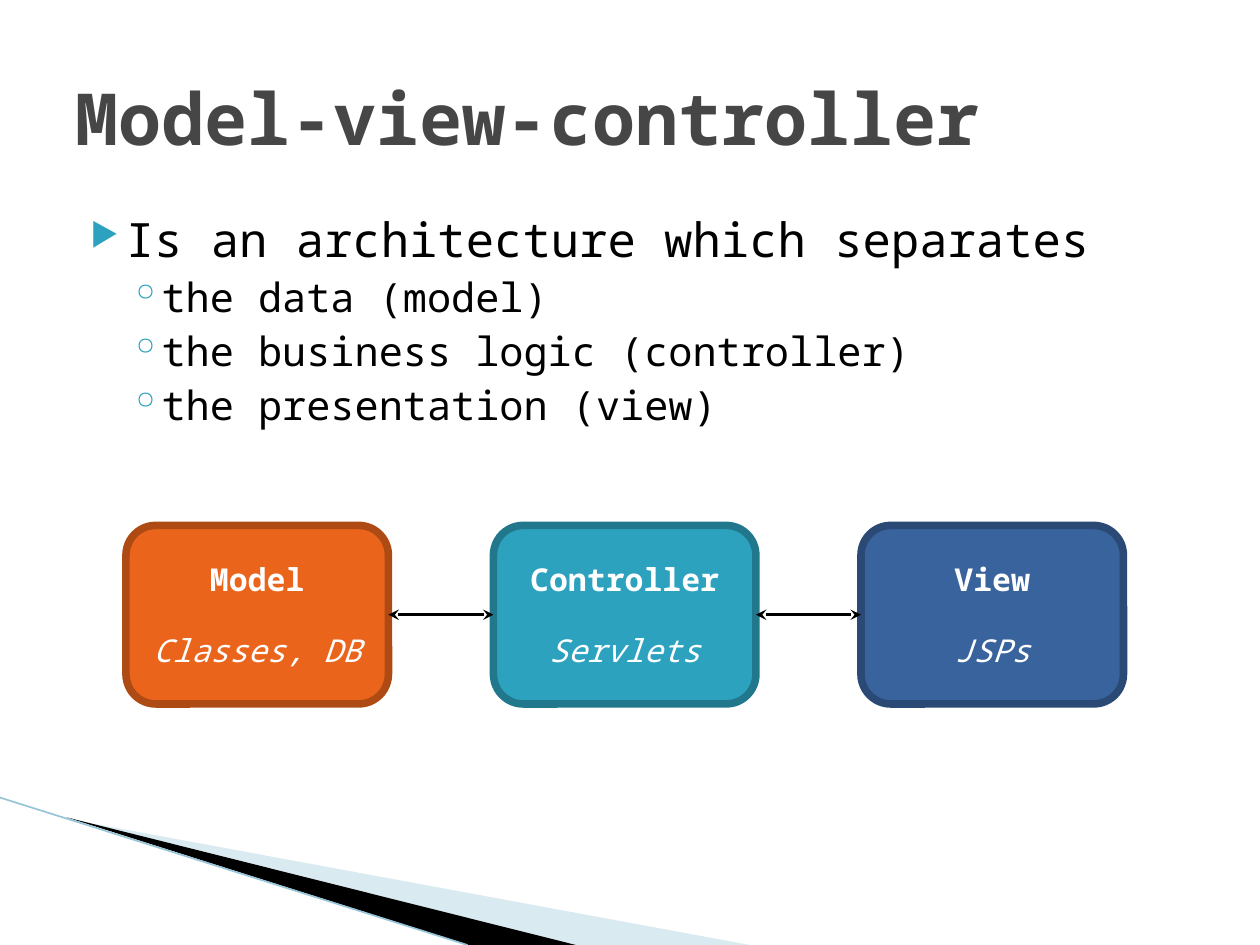
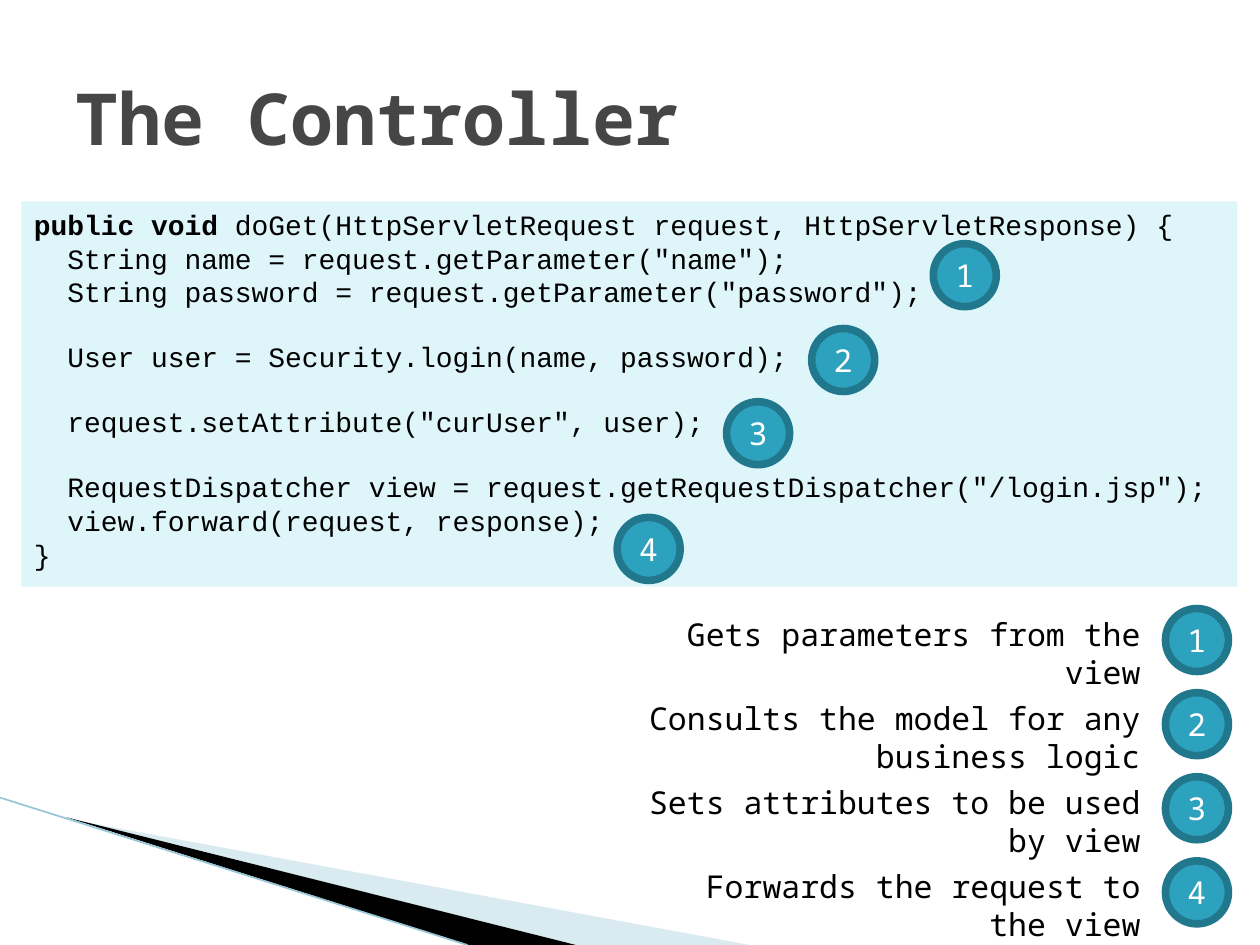
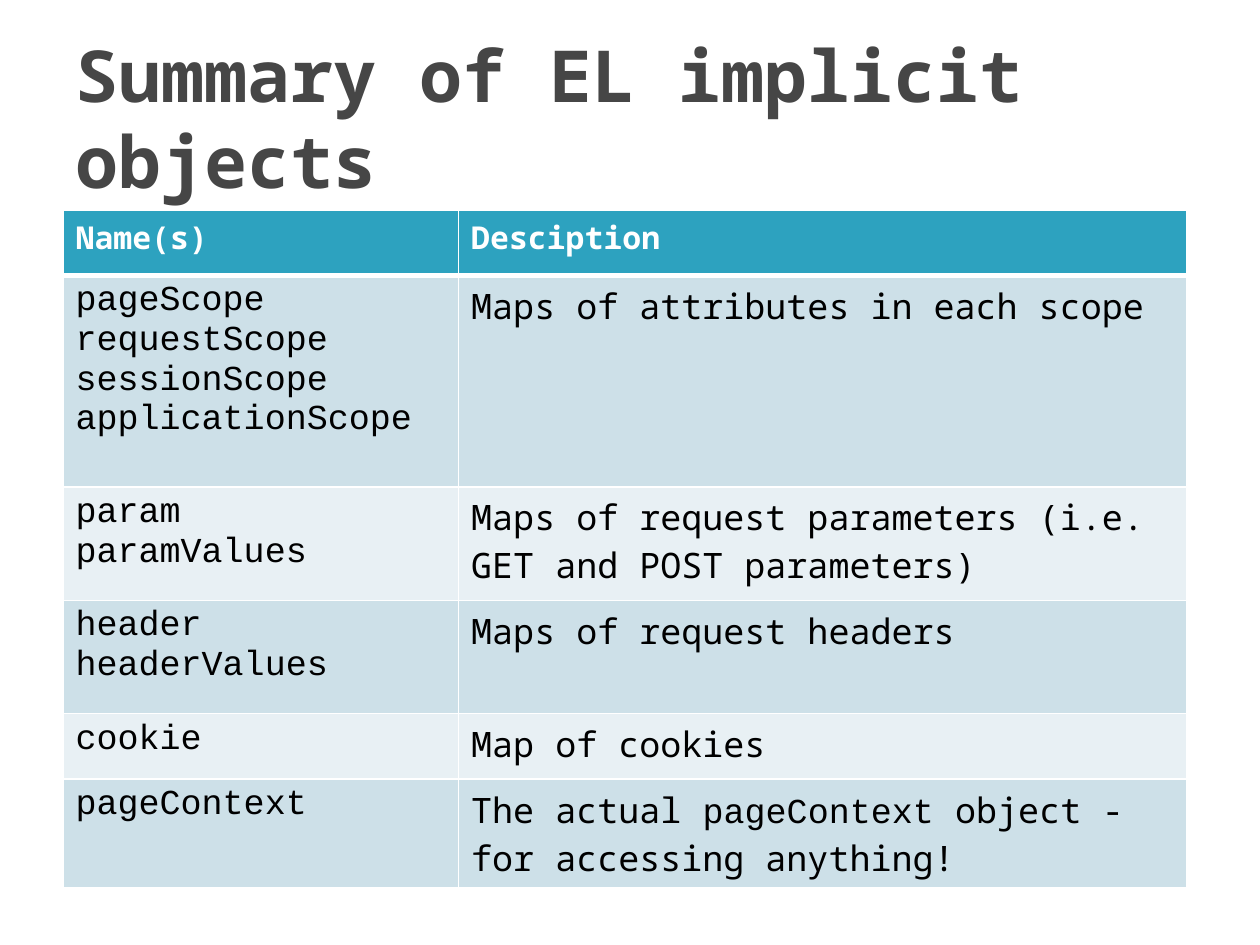
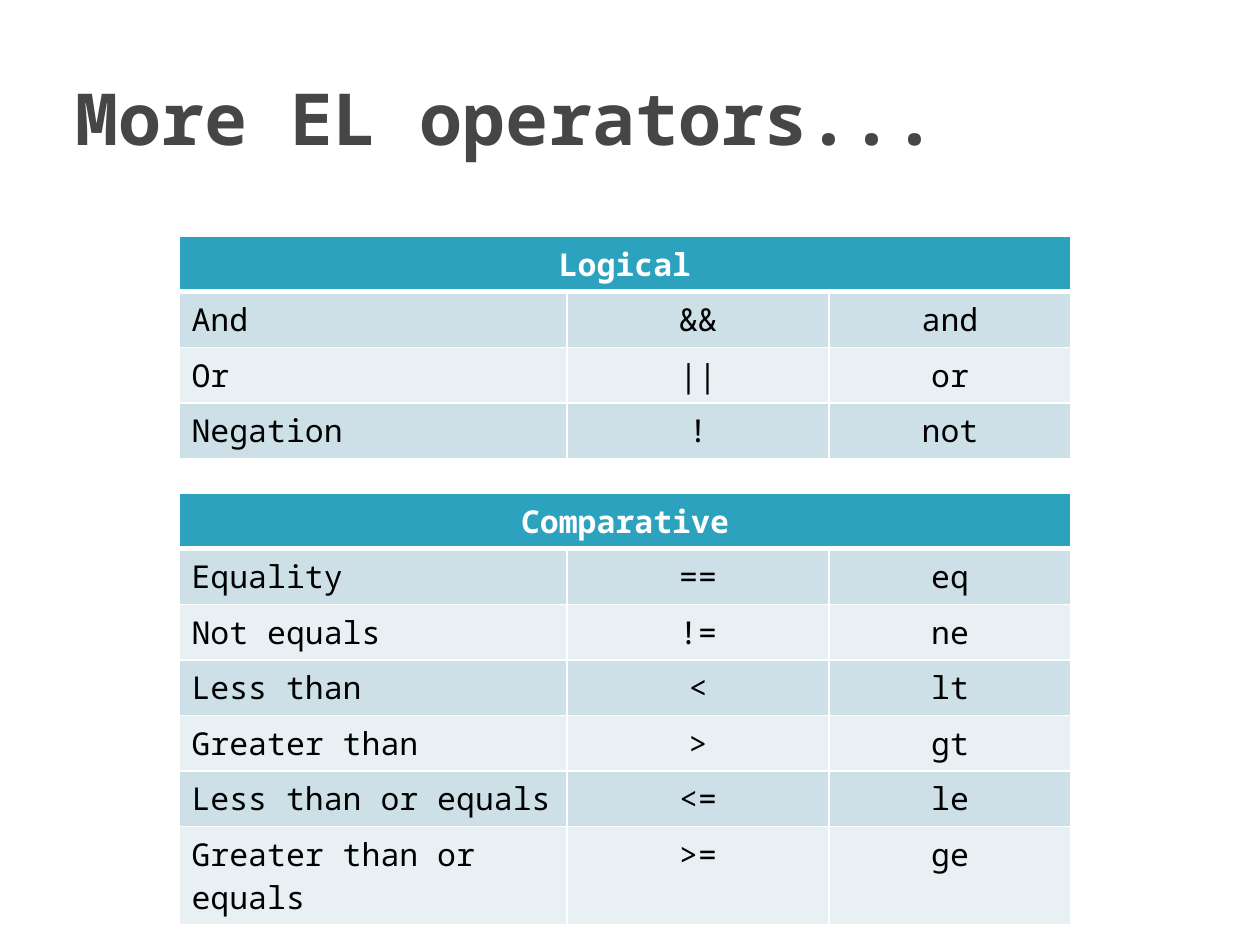
from dataclasses import dataclass
from itertools import pairwise

from lxml.etree import SubElement
from pptx import Presentation
from pptx.dml.color import RGBColor
from pptx.enum.shapes import MSO_CONNECTOR, MSO_SHAPE
from pptx.enum.text import MSO_ANCHOR, MSO_AUTO_SIZE, PP_ALIGN
from pptx.oxml.ns import qn
from pptx.util import Emu, Inches, Pt

SANS = "Noto Sans Mono"
CODE = "Courier New"
BLACK, WHITE, GREY = "000000", "FFFFFF", "464646"
ORANGE, DARK_ORANGE = "EB641B", "AE4A14"
TEAL, DARK_TEAL = "2DA2BF", "21788D"
BLUE, DARK_BLUE = "39639D", "2A4974"
PALE_BLUE, LINE_BLUE, CODE_FILL = "A0CBDC", "97C5D8", "DEF5FA"
ROW_FILLS = ["E8F0F4", "CDE0E8"]


@dataclass
class Box:
    left: float
    top: float
    width: float
    height: float

    def share(self, x, y, width, height):
        return Box(self.left + x * self.width, self.top + y * self.height,
                   width * self.width, height * self.height)

    def point(self, x, y):
        return Inches(self.left + x * self.width), Inches(self.top + y * self.height)

    def place(self):
        return [Inches(length) for length in (self.left, self.top, self.width, self.height)]


PAGE = Box(0, 0, 10, 7.5)
BADGE_SIZE = 0.5


def color(value):
    return RGBColor.from_string(value)


def style(paragraph, size, ink=BLACK, name=SANS, bold=False, italic=False, align=PP_ALIGN.LEFT):
    paragraph.alignment = align
    font = paragraph.font
    font.size, font.name, font.bold, font.italic = Pt(size), name, bold, italic
    font.color.rgb = color(ink)


def paint(shape, fill, line=None, width=4.33):
    shape.shadow.inherit = False
    shape.fill.solid()
    shape.fill.fore_color.rgb = color(fill)
    if line:
        shape.line.color.rgb = color(line)
        shape.line.width = Pt(width)
    else:
        shape.line.fill.background()


def next_paragraph(frame, index):
    return frame.add_paragraph() if index else frame.paragraphs[0]


def add_line(slide, start, end, ink, width):
    line = slide.shapes.add_connector(MSO_CONNECTOR.STRAIGHT, *start, *end)
    line.line.color.rgb = color(ink)
    line.line.width = Pt(width)
    SubElement(line._element.spPr, qn("a:effectLst"))
    return line


def add_wedge(slide, points, fill):
    corners = [PAGE.point(x, y) for x, y in points]
    builder = slide.shapes.build_freeform(*corners[0])
    builder.add_line_segments(corners[1:], close=True)
    wedge = builder.convert_to_shape()
    paint(wedge, fill)
    return wedge


def add_corner_band(slide):
    pale = add_wedge(slide, [(0.055, 0.867), (0.595, 1), (0.456, 1)], PALE_BLUE)
    fill_color = pale._element.spPr.find(qn("a:solidFill"))[0]
    SubElement(fill_color, qn("a:alpha"), val="40000")
    add_wedge(slide, [(0.053, 0.865), (0.457, 1), (0.372, 1)], BLACK)
    add_line(slide, PAGE.point(0, 0.844), PAGE.point(0.371, 1), LINE_BLUE, 0.95)


def add_titled_slide(presentation, text, banded=False):
    slide = presentation.slides.add_slide(presentation.slide_layouts[5])
    if banded:
        add_corner_band(slide)
    title = slide.shapes.title
    title.left, title.top, title.width, title.height = PAGE.share(0.05, 0.04, 0.9, 1 / 6).place()
    frame = title.text_frame
    frame.text = text
    frame.auto_size = MSO_AUTO_SIZE.NONE
    frame.vertical_anchor = MSO_ANCHOR.MIDDLE
    style(frame.paragraphs[0], 41, GREY, bold=True)
    return slide


def add_bullet(paragraph, symbol, indent, hanging, percent):
    properties = paragraph._p.get_or_add_pPr()
    properties.set("marL", str(Inches(indent)))
    properties.set("indent", str(-Inches(hanging)))
    bullet_color = SubElement(properties, qn("a:buClr"))
    SubElement(bullet_color, qn("a:srgbClr"), val=TEAL)
    SubElement(properties, qn("a:buSzPct"), val=str(percent * 1000))
    SubElement(properties, qn("a:buChar"), char=symbol)


def add_bullet_list(slide, box, heading, items):
    frame = slide.shapes.add_textbox(*box.place()).text_frame
    frame.word_wrap = True
    lead = frame.paragraphs[0]
    lead.text = heading
    add_bullet(lead, "▶", 0.4, 0.28, 68)
    style(lead, 27)
    for item in items:
        paragraph = frame.add_paragraph()
        paragraph.text = item
        paragraph.level = 1
        add_bullet(paragraph, "◦", 0.68, 0.25, 100)
        paragraph.space_before = Pt(3.2)
        style(paragraph, 23)


def add_card(slide, box, name, detail, fill, line):
    card = slide.shapes.add_shape(MSO_SHAPE.ROUNDED_RECTANGLE, *box.place())
    paint(card, fill, line)
    frame = card.text_frame
    frame.word_wrap = True
    frame.vertical_anchor = MSO_ANCHOR.MIDDLE
    heading, caption = frame.paragraphs[0], frame.add_paragraph()
    heading.text, caption.text = name, detail
    style(heading, 18, WHITE, bold=True, align=PP_ALIGN.CENTER)
    caption.space_before = Pt(19)
    style(caption, 18, WHITE, italic=True, align=PP_ALIGN.CENTER)
    return card


def join_cards(slide, first, second):
    middle = first.top + first.height // 2
    arrow = add_line(slide, (first.left + first.width, middle), (second.left, middle), BLACK, 2)
    arrow.begin_connect(first, 3)
    arrow.end_connect(second, 1)
    outline = arrow._element.spPr.find(qn("a:ln"))
    for end in ("a:headEnd", "a:tailEnd"):
        SubElement(outline, qn(end), type="stealth")


def add_card_flow(slide, box, cards):
    columns, card_span, step = 19, 5, 7
    shapes = [add_card(slide, box.share(index * step / columns, 0, card_span / columns, 1), *card)
              for index, card in enumerate(cards)]
    for first, second in pairwise(shapes):
        join_cards(slide, first, second)


def add_badge(slide, left, top, number):
    size = Inches(BADGE_SIZE)
    badge = slide.shapes.add_shape(MSO_SHAPE.OVAL, left, top, size, size)
    paint(badge, TEAL, DARK_TEAL)
    frame = badge.text_frame
    frame.margin_left = frame.margin_right = frame.margin_top = frame.margin_bottom = Emu(0)
    frame.vertical_anchor = MSO_ANCHOR.MIDDLE
    frame.text = str(number)
    style(frame.paragraphs[0], 18, WHITE, align=PP_ALIGN.CENTER)


def add_code_panel(slide, box, signature, blocks, badges):
    panel = slide.shapes.add_shape(MSO_SHAPE.RECTANGLE, *box.place())
    paint(panel, CODE_FILL)
    frame = panel.text_frame
    frame.word_wrap = True
    frame.vertical_anchor = MSO_ANCHOR.TOP
    first = frame.paragraphs[0]
    for text, bold in signature:
        run = first.add_run()
        run.text = text
        run.font.bold = bold
    style(first, 16, name=CODE)
    for block_index, block in enumerate(blocks):
        for line_index, line in enumerate(block):
            paragraph = frame.add_paragraph()
            paragraph.text = line
            if block_index and not line_index:
                paragraph.space_before = Pt(18)
            style(paragraph, 16, name=CODE)
    for number, position in enumerate(badges, 1):
        add_badge(slide, *box.point(*position), number)


def add_legend(slide, box, captions):
    row_height = box.height / len(captions)
    right = box.left + box.width
    caption_right = right - 0.6
    for index, (text, width) in enumerate(captions):
        top = box.top + index * row_height
        add_badge(slide, Inches(right - BADGE_SIZE), Inches(top), index + 1)
        caption_box = Box(caption_right - width, top, width, 0.4)
        frame = slide.shapes.add_textbox(*caption_box.place()).text_frame
        frame.word_wrap = True
        frame.text = text
        style(frame.paragraphs[0], 18, align=PP_ALIGN.RIGHT)


def set_borders(cell, top, bottom):
    properties = cell._tc.get_or_add_tcPr()
    for side, width in (("L", 1), ("R", 1), ("T", top), ("B", bottom)):
        border = SubElement(properties, qn(f"a:ln{side}"), w=str(Pt(width)))
        fill = SubElement(border, qn("a:solidFill"))
        SubElement(fill, qn("a:srgbClr"), val=WHITE)


def add_plain_table(slide, box, column_widths, row_heights):
    table = slide.shapes.add_table(len(row_heights), len(column_widths), *box.place()).table
    for column, width in zip(table.columns, column_widths):
        column.width = Inches(width)
    for row_index, (row, height) in enumerate(zip(table.rows, row_heights)):
        row.height = Inches(height)
        for cell in row.cells:
            set_borders(cell, 3 if row_index == 1 else 1, 1 if row_index else 3)
            cell.fill.solid()
            cell.fill.fore_color.rgb = color(ROW_FILLS[row_index % 2] if row_index else TEAL)
    return table


def add_object_table(slide, box, headings, rows, row_heights):
    table = add_plain_table(slide, box, [3.14, 5.78], row_heights)
    for column, heading in enumerate(headings):
        cell = table.cell(0, column)
        cell.text = heading
        style(cell.text_frame.paragraphs[0], 18, WHITE, bold=True)
    for row, (names, description) in enumerate(rows, 1):
        for index, name in enumerate(names):
            paragraph = next_paragraph(table.cell(row, 0).text_frame, index)
            paragraph.text = name
            style(paragraph, 20, name=CODE)
        paragraph = table.cell(row, 1).text_frame.paragraphs[0]
        for text, font_name in description:
            run = paragraph.add_run()
            run.text = text
            run.font.name = font_name
        style(paragraph, 20)


def add_operator_table(slide, box, heading, rows):
    count = len(rows) + 1
    table = add_plain_table(slide, box, [3.08, 2.08, 1.92], [box.height / count] * count)
    header = table.cell(0, 0)
    header.merge(table.cell(0, 2))
    header.text = heading
    style(header.text_frame.paragraphs[0], 18, WHITE, bold=True, align=PP_ALIGN.CENTER)
    for row, texts in enumerate(rows, 1):
        for column, text in enumerate(texts):
            cell = table.cell(row, column)
            cell.text = text
            style(cell.text_frame.paragraphs[0], 18,
                  align=PP_ALIGN.CENTER if column else PP_ALIGN.LEFT)


def build_architecture(presentation):
    slide = add_titled_slide(presentation, "Model-view-controller", banded=True)
    add_bullet_list(slide, PAGE.share(0.05, 0.216, 0.9, 0.3), "Is an architecture which separates",
                    ["the data (model)", "the business logic (controller)", "the presentation (view)"])
    add_card_flow(slide, PAGE.share(0.1, 0.556, 19 / 24, 0.189), [
        ("Model", "Classes, DB", ORANGE, DARK_ORANGE),
        ("Controller", "Servlets", TEAL, DARK_TEAL),
        ("View", "JSPs", BLUE, DARK_BLUE),
    ])


def build_controller(presentation):
    slide = add_titled_slide(presentation, "The Controller", banded=True)
    signature = [("public void ", True),
                 ("doGet(HttpServletRequest request, HttpServletResponse) {", False)]
    blocks = [
        ['  String name = request.getParameter("name");',
         '  String password = request.getParameter("password");'],
        ["  User user = Security.login(name, password);"],
        ['  request.setAttribute("curUser", user);'],
        ['  RequestDispatcher view = request.getRequestDispatcher("/login.jsp");',
         "  view.forward(request, response);",
         "}"],
    ]
    badges = [(0.75, 0.11), (0.65, 0.33), (0.58, 0.52), (0.49, 0.82)]
    add_code_panel(slide, PAGE.share(0.017, 0.213, 0.965, 0.408), signature, blocks, badges)
    add_legend(slide, PAGE.share(0.38, 0.644, 0.595, 0.356), [
        ("Gets parameters from the view", 3.97),
        ("Consults the model for any business logic", 5.34),
        ("Sets attributes to be used by view", 4.33),
        ("Forwards the request to the view", 4.22),
    ])


def build_implicit_objects(presentation):
    slide = add_titled_slide(presentation, "Summary of EL implicit objects")
    rows = [
        (["pageScope", "requestScope", "sessionScope", "applicationScope"],
         [("Maps of attributes in each scope", SANS)]),
        (["param", "paramValues"],
         [("Maps of request parameters (i.e. GET and POST parameters)", SANS)]),
        (["header", "headerValues"], [("Maps of request headers", SANS)]),
        (["cookie"], [("Map of cookies", SANS)]),
        (["pageContext"],
         [("The actual ", SANS), ("pageContext", CODE),
          (" object - for accessing anything!", SANS)]),
    ]
    add_object_table(slide, PAGE.share(0.05, 0.222, 0.892, 0.71), ["Name(s)", "Desciption"], rows,
                     [0.52, 1.68, 0.9, 0.9, 0.52, 0.8])


def build_operators(presentation):
    slide = add_titled_slide(presentation, "More EL operators...")
    add_operator_table(slide, PAGE.share(0.142, 0.25, 0.708, 0.216), "Logical", [
        ("And", "&&", "and"),
        ("Or", "||", "or"),
        ("Negation", "!", "not"),
    ])
    add_operator_table(slide, PAGE.share(0.142, 0.522, 0.708, 0.379), "Comparative", [
        ("Equality", "==", "eq"),
        ("Not equals", "!=", "ne"),
        ("Less than", "<", "lt"),
        ("Greater than", ">", "gt"),
        ("Less than or equals", "<=", "le"),
        ("Greater than or equals", ">=", "ge"),
    ])


def main():
    presentation = Presentation()
    presentation.slide_width = Inches(PAGE.width)
    presentation.slide_height = Inches(PAGE.height)
    build_architecture(presentation)
    build_controller(presentation)
    build_implicit_objects(presentation)
    build_operators(presentation)
    presentation.save("out.pptx")


if __name__ == "__main__":
    main()
